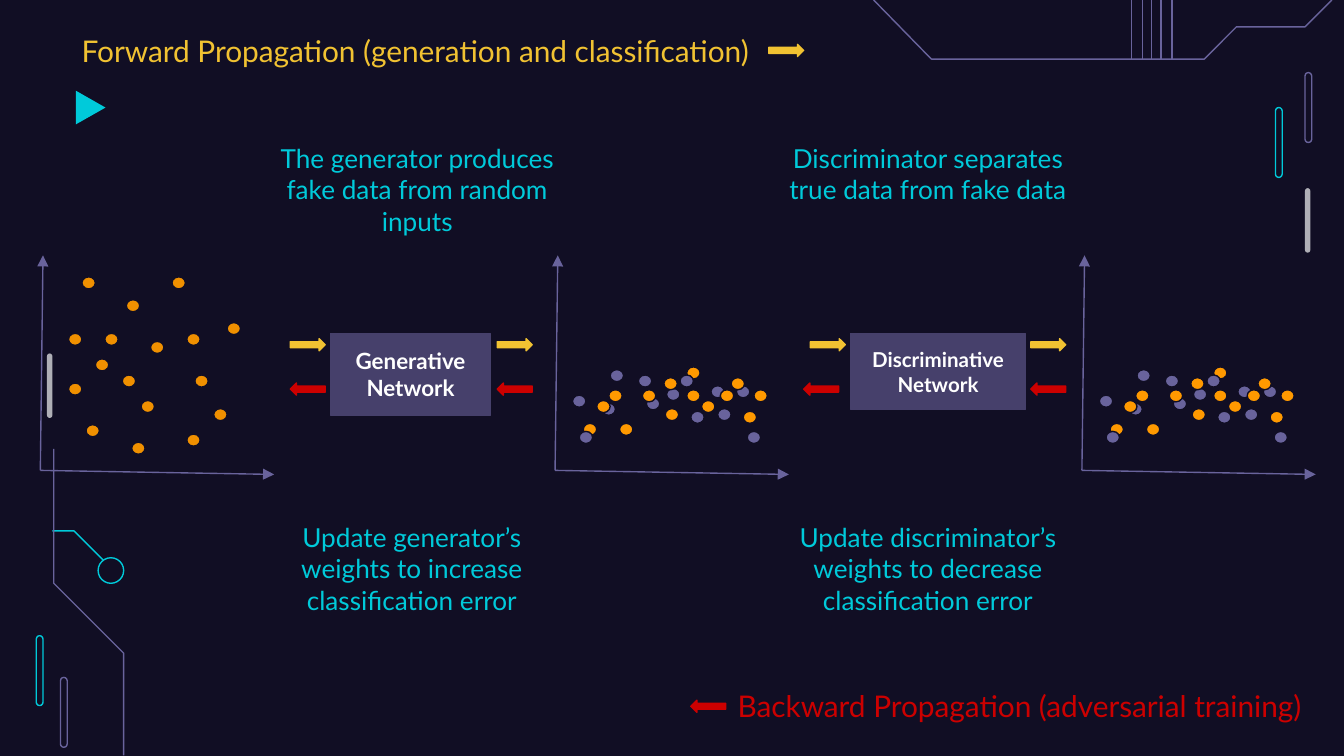
from lxml.etree import SubElement
from pptx import Presentation
from pptx.dml.color import RGBColor
from pptx.enum.shapes import MSO_CONNECTOR, MSO_SHAPE
from pptx.enum.text import MSO_ANCHOR, MSO_AUTO_SIZE, PP_ALIGN
from pptx.oxml.ns import qn
from pptx.util import Emu, Pt

PX = 9144  # EMU per px, 100 px to the inch

NIGHT = RGBColor(0x11, 0x0E, 0x24)
CYAN = RGBColor(0x00, 0xCA, 0xDA)
PURPLE = RGBColor(0x69, 0x63, 0x9C)
DEEP_PURPLE = RGBColor(0x46, 0x40, 0x6B)
GREY = RGBColor(0xAF, 0xAF, 0xB6)
AMBER = RGBColor(0xF0, 0x90, 0x00)
ORANGE = RGBColor(0xFF, 0x99, 0x00)
YELLOW = RGBColor(0xF1, 0xC2, 0x32)
RED = RGBColor(0xCC, 0x00, 0x00)
WHITE = RGBColor(0xFF, 0xFF, 0xFF)

# Dot positions: x from the plot's origin, y on the slide
NOISE_DOTS = [
    (21, 248), (41, 267), (48, 248), (61, 279), (75, 298), (34, 316),
    (109, 323), (115, 279), (129, 304), (82, 254), (21, 285), (68, 329),
    (109, 248), (64, 223), (31, 206), (98, 206), (139, 240),
]
MIXED_DOTS = [
    (21, 315, ORANGE), (41, 275, PURPLE), (48, 315, ORANGE),
    (62, 279, PURPLE), (83, 289, PURPLE), (35, 300, PURPLE),
    (101, 306, PURPLE), (116, 287, PURPLE), (121, 304, PURPLE),
    (82, 304, ORANGE), (13, 294, PURPLE), (68, 296, PURPLE),
    (109, 298, ORANGE), (65, 290, ORANGE), (31, 298, ORANGE),
    (98, 273, ORANGE), (140, 306, ORANGE), (18, 321, PURPLE),
    (143, 321, PURPLE), (135, 287, PURPLE), (93, 279, PURPLE),
    (81, 281, ORANGE), (98, 290, ORANGE), (123, 290, ORANGE),
    (131, 281, ORANGE), (148, 290, ORANGE), (40, 290, ORANGE),
]


def px(*values):
    return [Emu(int(v * PX)) for v in values]


class Canvas:
    font = "Lato"
    line_width = Pt(0.75)
    inset = 10

    def __init__(self, s):
        self.s = s

    def paint(self, sp, fill=None, line=None):
        sp.shadow.inherit = False
        if fill is None:
            sp.fill.background()
        else:
            sp.fill.solid()
            sp.fill.fore_color.rgb = fill
        if line is None:
            sp.line.fill.background()
        else:
            sp.line.color.rgb = line
            sp.line.width = self.line_width
        return sp

    def shape(self, kind, x, y, w, h, fill=None, line=None, rotation=0):
        sp = self.s.shapes.add_shape(kind, *px(x, y, w, h))
        sp.rotation = rotation
        return self.paint(sp, fill, line)

    def pill(self, x, y, w, h, fill=None, line=None):
        sp = self.shape(MSO_SHAPE.ROUNDED_RECTANGLE, x, y, w, h, fill, line)
        sp.adjustments[0] = 0.5

    def trace(self, points, color):
        builder = self.s.shapes.build_freeform(*points[0], scale=PX)
        builder.add_line_segments(points[1:], close=False)
        self.paint(builder.convert_to_shape(), line=color)

    def line(self, x1, y1, x2, y2, color, arrow=False):
        cxn = self.s.shapes.add_connector(MSO_CONNECTOR.STRAIGHT, *px(x1, y1, x2, y2))
        cxn.line.color.rgb = color
        cxn.line.width = self.line_width
        spPr = cxn._element.spPr
        if arrow:
            SubElement(spPr.find(qn("a:ln")), qn("a:tailEnd"), type="triangle")
        SubElement(spPr, qn("a:effectLst"))

    def plot(self, x, dots):
        self.line(x, 350, x + 2, 190, PURPLE, arrow=True)
        self.line(x, 350, x + 174, 353, PURPLE, arrow=True)
        for dx, y, color in dots:
            self.shape(MSO_SHAPE.OVAL, x + dx, y, 10, 9, color, NIGHT)

    def forward(self, x, y):
        self.shape(MSO_SHAPE.RIGHT_ARROW, x, y, 26, 9, YELLOW, YELLOW)

    def backward(self, x, y):
        self.shape(MSO_SHAPE.RIGHT_ARROW, x, y, 26, 9, RED, RED, rotation=180)

    def add_lines(self, sp, lines, size, color, align, anchor, bold=False):
        tf = sp.text_frame
        margin = Emu(self.inset * PX)
        frame_format = {
            "word_wrap": True, "auto_size": MSO_AUTO_SIZE.SHAPE_TO_FIT_TEXT,
            "vertical_anchor": anchor,
            "margin_left": margin, "margin_right": margin,
            "margin_top": margin, "margin_bottom": margin,
        }
        for name, value in frame_format.items():
            setattr(tf, name, value)
        font_format = {"name": self.font, "size": Pt(size), "bold": bold}
        for i, text in enumerate(lines):
            p = tf.add_paragraph() if i else tf.paragraphs[0]
            p.alignment = align
            r = p.add_run()
            r.text = text
            for name, value in font_format.items():
                setattr(r.font, name, value)
            r.font.color.rgb = color

    def text(self, x, y, w, h, text, size, color, align=PP_ALIGN.LEFT):
        sp = self.s.shapes.add_textbox(*px(x, y, w, h))
        self.add_lines(sp, [text], size, color, align, MSO_ANCHOR.TOP)

    def network(self, x, y, w, h, lines, size):
        sp = self.shape(MSO_SHAPE.RECTANGLE, x, y, w, h, DEEP_PURPLE, DEEP_PURPLE)
        self.add_lines(sp, lines, size, WHITE, PP_ALIGN.CENTER, MSO_ANCHOR.MIDDLE, bold=True)


def main():
    prs = Presentation()
    prs.slide_width, prs.slide_height = px(1000, 562.5)
    s = prs.slides.add_slide(prs.slide_layouts[6])
    s.background.fill.solid()
    s.background.fill.fore_color.rgb = NIGHT
    c = Canvas(s)

    # Circuit decoration
    for x, y, color in [(949, 80, CYAN), (971, 54, PURPLE), (27, 473, CYAN), (45, 504, PURPLE)]:
        c.pill(x, y, 5, 52, line=color)
    for x, y in [(971, 140), (35, 263)]:
        c.pill(x, y, 4, 48, fill=GREY)
    c.trace([(77, 417), (55, 395), (39, 395)], CYAN)
    c.shape(MSO_SHAPE.OVAL, 73, 415, 19, 19, line=CYAN)
    for i in range(5):
        x = 842 + round(7.5 * i)
        c.line(x, 44, x, 0, PURPLE)
    c.trace([(650, 0), (693, 44), (896, 44), (920, 20), (971, 20), (991, 0)], PURPLE)
    c.trace([(40, 334), (40, 434), (92, 486), (92, 562)], PURPLE)
    c.shape(MSO_SHAPE.FLOWCHART_MERGE, 55, 69, 25, 22, fill=CYAN, rotation=270)

    # Scatter plots
    c.plot(30, [(x, y, AMBER) for x, y in NOISE_DOTS])
    for x in (413, 805):
        c.plot(x, MIXED_DOTS)

    # Explanations
    for x, y, h, text in [
        (187, 96, 91, "The generator produces fake data from random inputs"),
        (567, 96, 67, "Discriminator separates true data from fake data"),
        (183, 378, 91, "Update generator’s weights to increase classification error"),
        (567, 378, 91, "Update discriminator’s weights to decrease classification error"),
    ]:
        c.text(x, y, 247, h, text, 14, CYAN, PP_ALIGN.CENTER)

    # Networks and the passes between them
    c.network(246, 248, 119, 61, ["Generative", "Network"], 12)
    c.network(633, 248, 130, 57, ["Discriminative", "Network"], 11)
    for x in (216, 370, 603, 767):
        c.forward(x, 252)
    for x in (216, 370, 598, 767):
        c.backward(x, 285)

    # Legend
    c.text(51, 14, 703, 47, "Forward Propagation (generation and classification)", 16, YELLOW)
    c.forward(572, 33)
    c.text(539, 502, 477, 47, "Backward Propagation (adversarial training)", 16, RED)
    c.backward(514, 521)

    prs.save("out.pptx")


if __name__ == "__main__":
    main()
